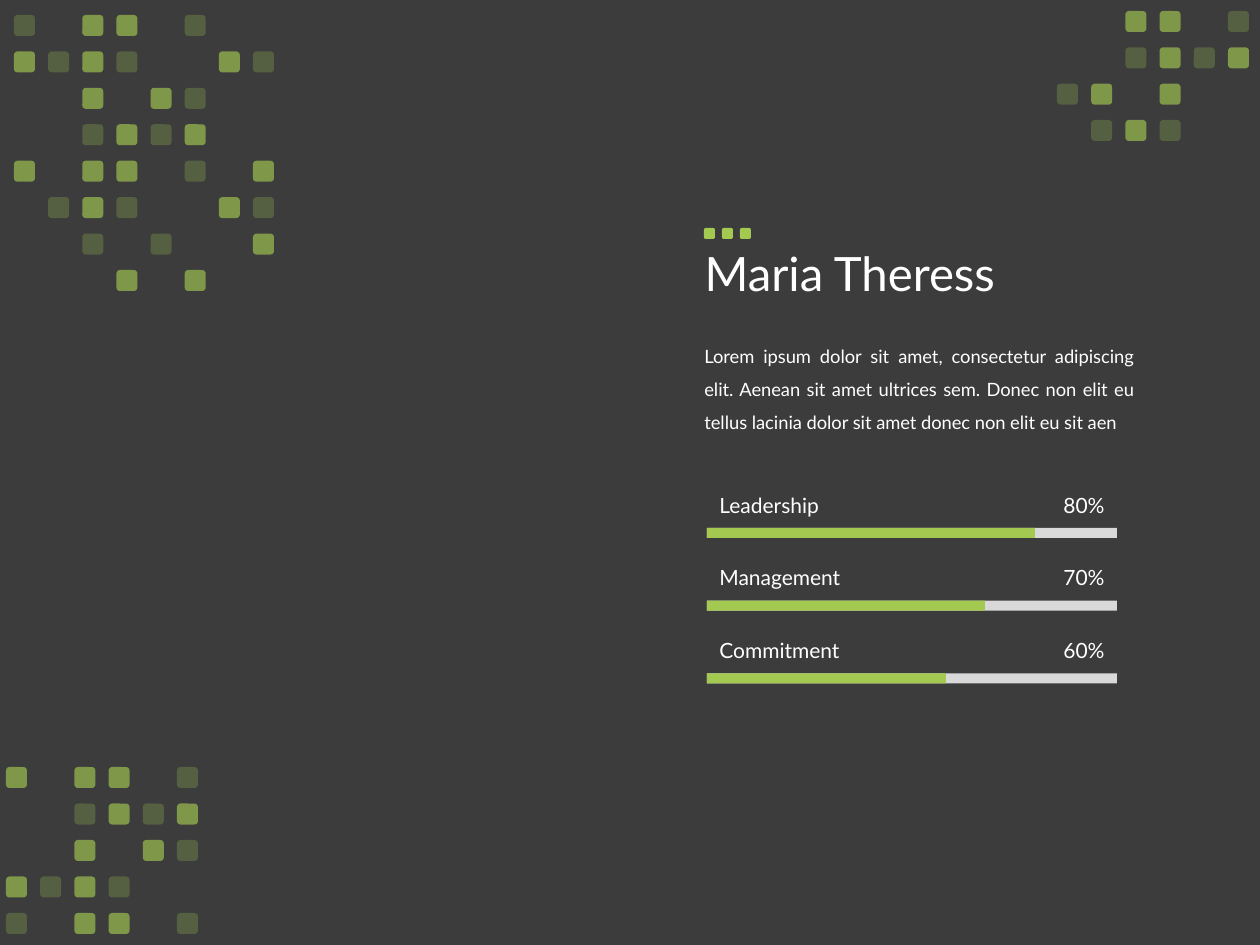
from pptx import Presentation
from pptx.dml.color import RGBColor
from pptx.enum.shapes import MSO_SHAPE
from pptx.enum.text import MSO_ANCHOR, PP_ALIGN
from pptx.oxml.ns import qn
from lxml import etree

RECT, ROUNDED = MSO_SHAPE.RECTANGLE, MSO_SHAPE.ROUNDED_RECTANGLE
TOP, MIDDLE = MSO_ANCHOR.TOP, MSO_ANCHOR.MIDDLE
LEFT, RIGHT, JUSTIFY = PP_ALIGN.LEFT, PP_ALIGN.RIGHT, PP_ALIGN.JUSTIFY

SCALE = 914400 / 126  # EMU in one px
PT = 12700
FONT = "Lato"
DARK, GREEN, GREY, WHITE = "3C3C3C", "A3C951", "D9D9D9", "FFFFFF"
TILE = 21
OPACITY = {"#": 65, "o": 25, "@": 100}  # strong, faint and solid tiles

TOP_LEFT = ["o.##.o..", "#o#o..#o", "..#.#o..", "..o#o#..",
            "#.##.o.#", ".o#o..#o", "..o.o..#", "...#.#.."]
BOTTOM_LEFT = ["#.##.o", "..o#o#", "..#.#o", "#o#o..", "o.##.o"]
TOP_RIGHT = ["..##.o", "..o#o#", "o#.#..", ".o#o.."]
TITLE_DOTS = ["@@@"]

BIO = ("Lorem ipsum dolor sit amet, consectetur adipiscing elit. "
       "Aenean sit amet ultrices sem. Donec non elit eu tellus lacinia "
       "dolor sit amet donec non elit eu sit aen")
# Label, value and length of the filled bar in px
SKILLS = [("Leadership", "80%", 328), ("Management", "70%", 278),
          ("Commitment", "60%", 239)]


def px(*lengths):
    return [round(n * SCALE) for n in lengths]


def rgb(color):
    return RGBColor.from_string(color)


def add_block(s, kind, box, color, opacity=100):
    sp = s.shapes.add_shape(kind, *px(*box))
    sp.shadow.inherit = False
    sp.fill.solid()
    sp.fill.fore_color.rgb = rgb(color)
    sp.line.fill.background()
    if opacity < 100:
        clr = sp.fill._xPr.find(".//" + qn("a:srgbClr"))
        etree.SubElement(clr, qn("a:alpha"), val=str(opacity * 1000))


def set_text(sp, text, size, align=LEFT, anchor=TOP, spacing=1.0):
    tf = sp.text_frame
    tf.word_wrap = True
    tf.vertical_anchor = anchor
    p = tf.paragraphs[0]
    p.alignment = align
    p.line_spacing = spacing
    r = p.add_run()
    r.text = text
    for name, value in {"name": FONT, "size": round(size * PT)}.items():
        setattr(r.font, name, value)
    r.font.color.rgb = rgb(WHITE)


def add_text(s, box, text, size, **layout):
    set_text(s.shapes.add_textbox(*px(*box)), text, size, **layout)


def add_tiles(s, box, rows, size=TILE):
    """Spread a pattern of tiles evenly over the box."""
    x, y, w, h = box
    dx = (w - size) / (len(rows[0]) - 1)
    dy = (h - size) / max(len(rows) - 1, 1)
    for i, row in enumerate(rows):
        for j, mark in enumerate(row):
            if mark in OPACITY:
                tile = (x + j * dx, y + i * dy, size, size)
                add_block(s, ROUNDED, tile, GREEN, OPACITY[mark])


def add_profile(s, box):
    x, y, w, h = box
    # Name
    title = s.shapes.title
    title.left, title.top, title.width, title.height = px(x, y, w, 183)
    set_text(title, "Maria Theress", 27, anchor=MIDDLE, spacing=0.9)
    add_tiles(s, (x + 12, y + 43, 47, 11), TITLE_DOTS, size=11)
    # Biography
    add_text(s, (x, y + 143, 455, 108), BIO, 10.5, align=JUSTIFY, spacing=1.5)


def add_skills(s, box):
    x, y, w, h = box
    pitch = h / len(SKILLS)
    for i, (label, value, filled) in enumerate(SKILLS):
        top = y + i * pitch
        # Track and filled part
        for length, color in ((w, GREY), (filled, GREEN)):
            add_block(s, RECT, (x, top + 42, length, 10), color)
        # Label and value
        add_text(s, (x, top, 195, 38), label, 12, anchor=MIDDLE)
        add_text(s, (x + w - 100, top, 100, 38), value, 12,
                 align=RIGHT, anchor=MIDDLE)


def main():
    prs = Presentation()
    prs.slide_width, prs.slide_height = px(1260, 945)
    s = prs.slides.add_slide(prs.slide_layouts[5])
    s.background.fill.solid()
    s.background.fill.fore_color.rgb = rgb(DARK)

    # Corner patterns
    add_tiles(s, (6, 767, 192, 167), BOTTOM_LEFT)
    add_tiles(s, (14, 15, 260, 276), TOP_LEFT)
    add_tiles(s, (1057, 11, 192, 130), TOP_RIGHT)

    # Person
    add_profile(s, (692, 185, 1086, 251))
    add_skills(s, (707, 486, 410, 218))
    prs.save("out.pptx")


if __name__ == "__main__":
    main()
